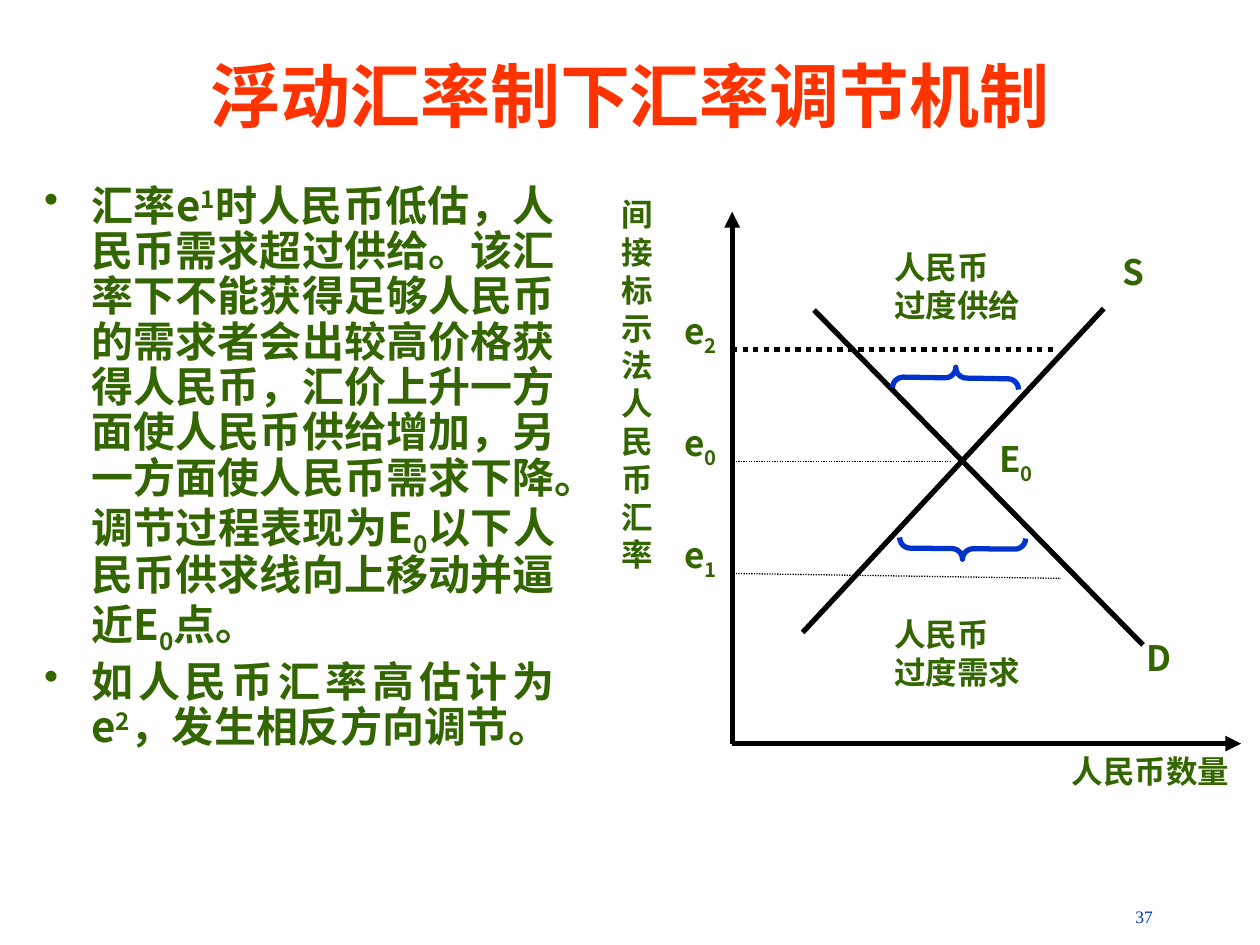
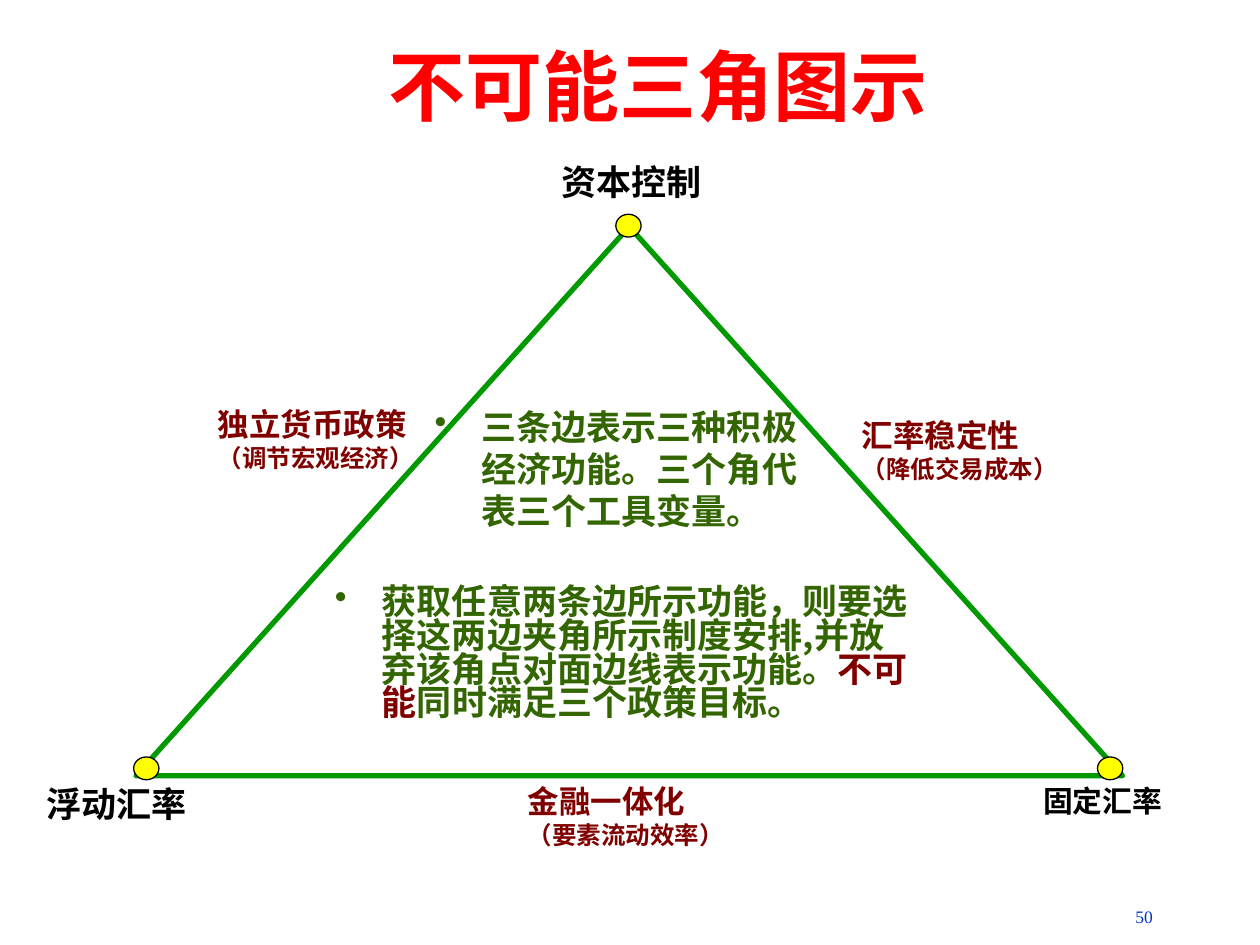
from lxml import etree
from pptx import Presentation
from pptx.dml.color import RGBColor
from pptx.enum import dml, shapes, text
from pptx.oxml import ns
from pptx.util import Cm, Pt

GREEN = RGBColor(0x33, 0x66, 0x00)
EDGE_GREEN = RGBColor(0x00, 0x99, 0x00)
BLUE = RGBColor(0x00, 0x33, 0xCC)
ORANGE = RGBColor(0xFF, 0x33, 0x00)
RED = RGBColor(0xFF, 0x00, 0x00)
MAROON = RGBColor(0x80, 0x00, 0x00)
YELLOW = RGBColor(0xFF, 0xFF, 0x00)
BLACK = RGBColor(0x00, 0x00, 0x00)
SANS, SERIF = "Noto Sans CJK SC", "Times New Roman"
ALIGN = text.PP_ALIGN

# Places are (left, top, width, height) in centimetres.
# A paragraph is a list of spans; a span is (words, changes to the style).
SUB, SUPER = {"baseline": -25}, {"baseline": 30}
PAGE_NUMBER_PLACE = (18.21, 18.14, 5.28, 0.81)

MECHANISM_TITLE = ("浮动汇率制下汇率调节机制", (1.9, 0.64, 21.6, 2.54), 40, ORANGE)
MECHANISM_PLACE = (0.64, 3.6, 10.8, 13.34)
MECHANISM_POINTS = [
    [("汇率e", {}), ("1", SUPER),
     ("时人民币低估，人民币需求超过供给。该汇率下不能获得足够人民币的需求者会出较高价格"
      "获得人民币，汇价上升一方面使人民币供给增加，另一方面使人民币需求下降。"
      "调节过程表现为E", {}),
     ("0", SUB), ("以下人民币供求线向上移动并逼近E", {}), ("0", SUB), ("点。", {})],
    [("如人民币汇率高估计为e", {}), ("2", SUPER), ("，发生相反方向调节。", {})],
]
ORIGIN = (14.76, 14.99)
AXIS_ENDS = [(14.76, 4.27), (25.02, 14.99)]
CURVES = [((16.18, 12.75), (22.25, 6.22)), ((16.41, 6.25), (23.04, 13.0))]
# rate subscript, line start, line end, line width in points
RATE_LEVELS = [
    ("2", (14.76, 7.04), (21.29, 7.04), 3),
    ("0", (14.83, 9.3), (19.15, 9.3), 0.75),
    ("1", (14.78, 11.56), (21.39, 11.66), 0.75),
]
CHART_LABELS = [
    ([[("人民币数量", {})]], (21.36, 15.04, 3.81, 1.47), 18),
    ([[("间接标示法人民币汇率", {})]], (12.27, 3.81, 1.5, 9.86), 18),
    ([[("人民币", {})], [("过度供给", {})]], (17.78, 4.88, 3.18, 2.13), 18),
    ([[("人民币", {})], [("过度需求", {})]], (17.78, 12.27, 3.43, 2.13), 18),
    ([[("S", {})]], (22.38, 4.93, 1.45, 1.57), 20),
    ([[("D", {})]], (22.86, 12.7, 1.37, 1.22), 20),
    ([[("E", {}), ("0", SUB)]], (19.89, 8.69, 1.27, 1.27), 20),
]
BRACES = [((19.05, 6.35, 0.43, 2.54), 90.9), ((19.19, 9.79, 0.43, 2.54), 270.5)]

TRIANGLE_TITLE = ("不可能三角图示", (2.69, 0.53, 21.16, 2.34), 44, RED)
TRIANGLE_PLACE = (2.74, 4.57, 19.89, 11.07)
CORNER_DOTS = [(2.95, 15.49), (22.38, 15.49), (12.67, 4.55)]
DOT_SIZE = (0.51, 0.46)
CORNER_LABELS = [
    ("资本控制", (11.07, 3.12, 3.43, 1.55), 20),
    ("浮动汇率", (0.69, 15.65, 3.61, 1.45), 20),
    ("固定汇率", (20.78, 15.65, 3.43, 1.02), 17),
]
SIDE_LABELS = [
    ("金融一体化", "（要素流动效率）", (10.39, 15.65, 6.12, 1.85)),
    ("独立货币政策", "（调节宏观经济）", (4.14, 8.05, 4.8, 2.31)),
    ("汇率稳定性", "（降低交易成本）", (17.12, 8.26, 4.6, 2.29)),
]
# spans, place, line spacing
TRIANGLE_POINTS = [
    ([("获取任意两条边所示功能，则要选择这两边夹角所示制度安排,并放弃该角点对面边线表示功能。", {}),
      ("不可能", {"color": MAROON}), ("同时满足三个政策目标。", {})],
     (6.5, 11.73, 12.19, 3.18), 0.8),
    ([("三条边表示三种积极经济功能。三个角代表三个工具变量。", {})],
     (8.51, 8.05, 8.41, 2.9), 1.0),
]


def lengths(place):
    return [Cm(value) for value in place]


def add_element(parent, tag, **attributes):
    return etree.SubElement(parent, ns.qn(tag), attributes)


def set_all(target, values):
    for name, value in values.items():
        setattr(target, name, value)


def add_span(para, words, size, color, bold=True, name=SANS, baseline=None):
    span = para.add_run()
    span.text = words
    set_all(span.font, {"size": Pt(size), "bold": bold, "name": name})
    span.font.color.rgb = color
    properties = span._r.get_or_add_rPr()
    add_element(properties, "a:ea", typeface=SANS)
    if baseline:
        properties.set("baseline", str(baseline * 1000))


def add_text(page, paragraphs, place, style, align=ALIGN.JUSTIFY, bullet_spacing=None):
    """Add a wrapped text box; a bullet_spacing makes it a bulleted list."""
    frame = page.shapes.add_textbox(*lengths(place)).text_frame
    frame.word_wrap = True
    for index, spans in enumerate(paragraphs):
        para = frame.add_paragraph() if index else frame.paragraphs[0]
        para.alignment = align
        if bullet_spacing:
            set_all(para, {"line_spacing": bullet_spacing, "space_before": Pt(6)})
            add_bullet(para)
        for words, changes in spans:
            add_span(para, words, **{**style, **changes})


def add_bullet(para):
    properties = para._p.get_or_add_pPr()
    properties.set("marL", str(Cm(0.95)))
    properties.set("indent", str(-Cm(0.95)))
    add_element(add_element(properties, "a:buClr"), "a:srgbClr", val=str(GREEN))
    add_element(properties, "a:buChar", char="•")


def add_line(page, start, end, width=3, dotted=False, arrow=False):
    line = page.shapes.add_connector(shapes.MSO_CONNECTOR.STRAIGHT, *lengths(start + end))
    line.line.color.rgb = BLACK
    line.line.width = Pt(width)
    if dotted:
        line.line.dash_style = dml.MSO_LINE.ROUND_DOT
    if arrow:
        add_element(line.line._get_or_add_ln(), "a:tailEnd", type="triangle")
    add_element(line._element.spPr, "a:effectLst")


def add_outline(page, kind, place, color, width, fill=None):
    shape = page.shapes.add_shape(kind, *lengths(place))
    shape.shadow.inherit = False
    shape.line.color.rgb = color
    shape.line.width = Pt(width)
    if fill is None:
        shape.fill.background()
    else:
        shape.fill.solid()
        shape.fill.fore_color.rgb = fill
    return shape


def add_page(deck, number, title):
    page = deck.slides.add_slide(deck.slide_layouts[5])
    words, place, size, color = title
    holder = page.shapes.title
    set_all(holder, dict(zip(("left", "top", "width", "height"), lengths(place))))
    set_all(holder.text_frame, {"vertical_anchor": text.MSO_ANCHOR.MIDDLE,
                                "auto_size": text.MSO_AUTO_SIZE.NONE, "word_wrap": True})
    para = holder.text_frame.paragraphs[0]
    para.alignment = ALIGN.CENTER
    add_span(para, words, size, color)
    add_text(page, [[(str(number), {})]], PAGE_NUMBER_PLACE,
             {"size": 10, "color": BLUE, "bold": False, "name": SERIF}, ALIGN.RIGHT)
    return page


def build_mechanism(deck):
    page = add_page(deck, 37, MECHANISM_TITLE)
    add_text(page, MECHANISM_POINTS, MECHANISM_PLACE, {"size": 24, "color": GREEN},
             bullet_spacing=0.9)
    for end in AXIS_ENDS:
        add_line(page, ORIGIN, end, arrow=True)
    for start, end in CURVES:
        add_line(page, start, end)
    for subscript, start, end, width in RATE_LEVELS:
        add_line(page, start, end, width, dotted=True)
        add_text(page, [[("e", {}), (subscript, SUB)]], (13.54, start[1] - 0.92, 1.45, 1.57),
                 {"size": 20, "color": GREEN})
    for paragraphs, place, size in CHART_LABELS:
        add_text(page, paragraphs, place, {"size": size, "color": GREEN})
    for place, angle in BRACES:
        brace = add_outline(page, shapes.MSO_SHAPE.LEFT_BRACE, place, BLUE, 3)
        brace.rotation = angle
        brace.adjustments[0] = 0.5


def build_triangle(deck):
    page = add_page(deck, 50, TRIANGLE_TITLE)
    add_outline(page, shapes.MSO_SHAPE.ISOSCELES_TRIANGLE, TRIANGLE_PLACE, EDGE_GREEN, 3)
    for words, place, size in CORNER_LABELS:
        add_text(page, [[(words, {})]], place, {"size": size, "color": BLACK, "name": SERIF})
    for goal, reason, place in SIDE_LABELS:
        add_text(page, [[(goal, {})], [(reason, {"size": 14})]], place,
                 {"size": 18, "color": MAROON, "name": SERIF})
    width, height = DOT_SIZE
    for x, y in CORNER_DOTS:
        add_outline(page, shapes.MSO_SHAPE.OVAL, (x - width / 2, y - height / 2, width, height),
                    BLACK, 0.75, YELLOW)
    for spans, place, spacing in TRIANGLE_POINTS:
        add_text(page, [spans], place, {"size": 20, "color": GREEN}, ALIGN.LEFT, spacing)


def main():
    deck = Presentation()
    deck.slide_width, deck.slide_height = Cm(25.4), Cm(19.05)
    build_mechanism(deck)
    build_triangle(deck)
    deck.save("out.pptx")


if __name__ == "__main__":
    main()
